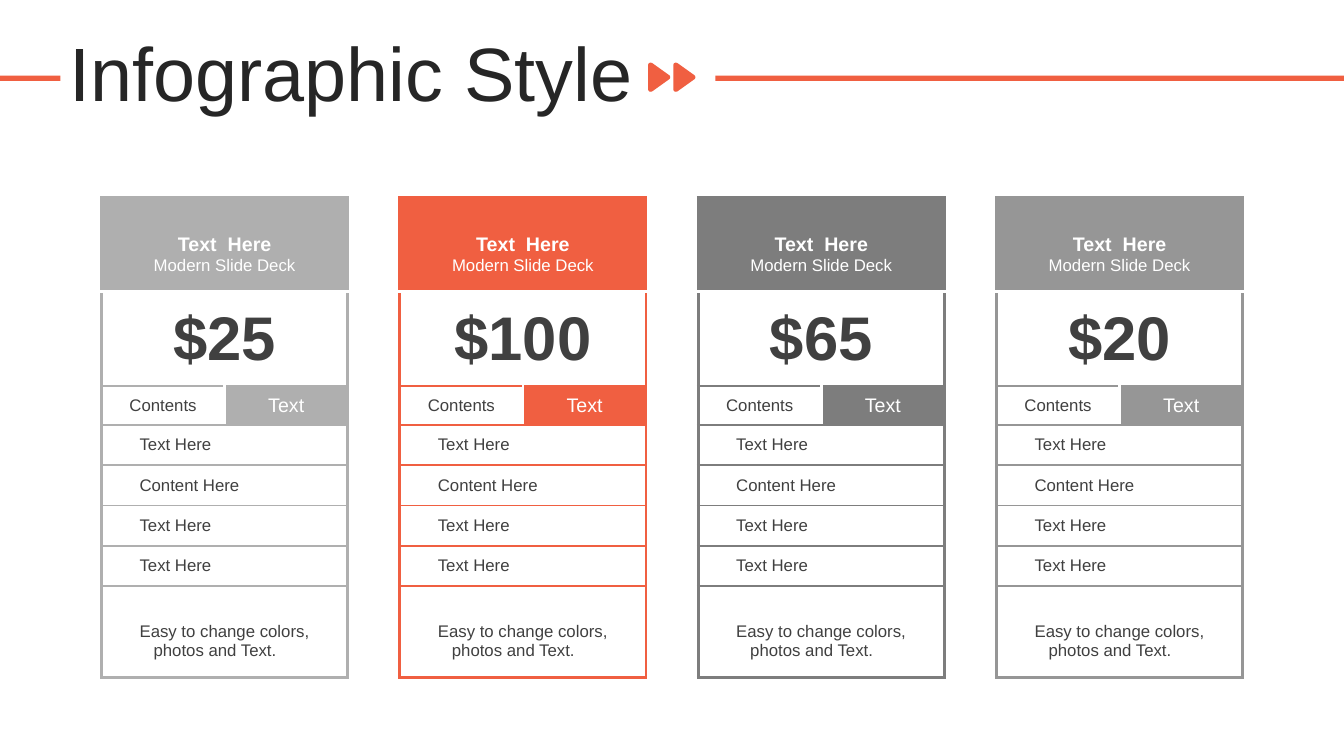
"""Build the four-plan pricing slide."""
from lxml import etree
from pptx import Presentation
from pptx.dml.color import RGBColor
from pptx.enum.shapes import MSO_SHAPE
from pptx.enum.text import MSO_ANCHOR, PP_ALIGN
from pptx.oxml.ns import qn
from pptx.util import Pt

RECT = MSO_SHAPE.RECTANGLE
MIDDLE = MSO_ANCHOR.MIDDLE
LEFT, CENTER = PP_ALIGN.LEFT, PP_ALIGN.CENTER
PLAIN = "{2D5ABB26-0587-4C30-8999-92F81FD0307C}"
COLORS = {
    "accent": "F05F41", "title": "262626", "text": "404040", "white": "FFFFFF",
    "light": "AFAFAF", "dark": "7D7D7D", "mid": "969696",
}
WIDTHS = [20, 68, 68, 20]
HEIGHTS = [67.1, 67.6] + [27.6] * 5 + [65]
THICK, THIN = 2.25, 1.5
DROP = 17.4
PLANS = [("light", "$25"), ("accent", "$100"), ("dark", "$65"), ("mid", "$20")]
ITEMS = ["Text Here", "Content Here", "Text Here", "Text Here"]
ARROW = [
    [(15.1, 12.2), (2.9, 20.9)],
    [(2.9, 20.9), (1.4, 21.6), (0, 20.9), (0, 19.4)],
    [(0, 19.4), (0, 2.2)],
    [(0, 2.2), (0, 0.7), (1.4, 0), (2.9, 0.7)],
    [(2.9, 0.7), (15.1, 9.4)],
    [(15.1, 9.4), (15.9, 10.1), (15.9, 11.5), (15.1, 12.2)],
]


def curve(pts, t):
    while len(pts) > 1:
        pts = [(a + (c - a) * t, b + (d - b) * t)
               for (a, b), (c, d) in zip(pts, pts[1:])]
    return pts[0]


class Deck:
    def __init__(self):
        self.prs = Presentation()
        self.prs.slide_width, self.prs.slide_height = Pt(960), Pt(540)
        self.slide = self.prs.slides.add_slide(self.prs.slide_layouts[6])
        self.shapes = self.slide.shapes
        self.face = "Arial"

    def color(self, name):
        return RGBColor.from_string(COLORS[name])

    def paint(self, shape, name):
        shape.shadow.inherit = False
        shape.fill.solid()
        shape.fill.fore_color.rgb = self.color(name)
        shape.line.fill.background()

    def bar(self, x, y, w, h):
        self.paint(self.shapes.add_shape(RECT, Pt(x), Pt(y), Pt(w), Pt(h)), "accent")

    def arrow(self, x, y):
        dots = []
        for part in ARROW:
            steps = 1 if len(part) == 2 else 8
            dots += [curve(part, i / steps) for i in range(1, steps + 1)]
        dots = [(Pt(x + a), Pt(y + b)) for a, b in dots]
        form = self.shapes.build_freeform(*dots[-1])
        form.add_line_segments(dots, close=True)
        self.paint(form.convert_to_shape(), "accent")

    def style(self, para, text, size, name, bold=False, align=LEFT):
        para.text = text
        para.alignment = align
        font = para.font
        font.name, font.size, font.bold = self.face, Pt(size), bold
        font.color.rgb = self.color(name)

    def title(self, text, x, y, w, h):
        frame = self.shapes.add_textbox(Pt(x), Pt(y), Pt(w), Pt(h)).text_frame
        frame.word_wrap = True
        frame.vertical_anchor = MIDDLE
        para = frame.paragraphs[0]
        para.line_spacing = 0.9
        self.style(para, text, 54, "title")

    def table(self, x, y):
        size = Pt(sum(WIDTHS)), Pt(sum(HEIGHTS))
        frame = self.shapes.add_table(len(HEIGHTS), len(WIDTHS), Pt(x), Pt(y), *size)
        table = frame.table
        table.first_row = table.horz_banding = False
        table._tbl.tblPr.find(qn("a:tableStyleId")).text = PLAIN
        for col, w in zip(table.columns, WIDTHS):
            col.width = Pt(w)
        for row, h in zip(table.rows, HEIGHTS):
            row.height = Pt(h)
        return table

    def edge(self, cell, edges):
        props = cell._tc.get_or_add_tcPr()
        sides = [s for s in "LRTB" if s in edges]
        for spot, side in enumerate(sides):
            name, width = edges[side]
            line = etree.Element(qn("a:ln" + side), w=str(Pt(width)))
            fill = etree.SubElement(line, qn("a:solidFill"))
            etree.SubElement(fill, qn("a:srgbClr"), val=COLORS[name])
            props.insert(spot, line)

    def cell(self, table, row, first, last, fill, edges, lines=(), align=CENTER, drop=3.6):
        cell = table.cell(row, first)
        if last > first:
            cell.merge(table.cell(row, last))
        for col in range(first, last + 1):
            self.edge(table.cell(row, col), edges)
        cell.fill.solid()
        cell.fill.fore_color.rgb = self.color(fill)
        cell.vertical_anchor = MIDDLE
        cell.margin_top = Pt(drop)
        frame = cell.text_frame
        for i, line in enumerate(lines):
            para = frame.add_paragraph() if i else frame.paragraphs[0]
            self.style(para, *line, align=align)
        return cell

    def plan(self, x, y, tint, price):
        table = self.table(x, y)
        thick, thin, gap = (tint, THICK), (tint, THIN), ("white", THICK)
        self.cell(table, 0, 0, 3, tint, dict(L=thick, R=thick, T=thick, B=gap),
                  [("Text  Here", 14, "white", True),
                   ("Modern Slide Deck", 12, "white")], drop=DROP)
        self.cell(table, 1, 0, 3, "white", dict(L=thick, R=thick, T=gap, B=thin),
                  [(price, 44, "text", True)])
        self.cell(table, 2, 0, 1, "white", dict(L=thick, R=gap, T=thin, B=thin),
                  [("Contents", 12, "text")])
        self.cell(table, 2, 2, 3, tint, dict(L=gap, R=thick, T=thin, B=thin),
                  [("Text", 14, "white")])
        for row, item in enumerate(ITEMS, 3):
            self.row(table, row, item, thick, dict(T=thin, B=thin))
        note = self.row(table, 7, "Easy to change colors, photos and Text.", thick,
                        dict(T=thin, B=thick), DROP)
        props = note.text_frame.paragraphs[0]._p.get_or_add_pPr()
        props.set("marL", str(Pt(10)))
        props.set("indent", str(Pt(-10)))

    def row(self, table, row, text, side, edges, drop=3.6):
        self.cell(table, row, 0, 0, "white", dict(edges, L=side))
        self.cell(table, row, 3, 3, "white", dict(edges, R=side))
        return self.cell(table, row, 1, 2, "white", edges, [(text, 12, "text")],
                         LEFT, drop)


def main():
    deck = Deck()
    for x in (481, 463):
        deck.arrow(x, 44.4)
    deck.bar(511, 54, 449, 3.8)
    deck.bar(0, 54, 43.2, 3.8)
    deck.title("Infographic Style", 42.5, 26.6, 894, 56.9)
    for i, (tint, price) in enumerate(PLANS):
        deck.plan(72.5 + 213.1 * i, 141.1, tint, price)
    deck.prs.save("out.pptx")


if __name__ == "__main__":
    main()
